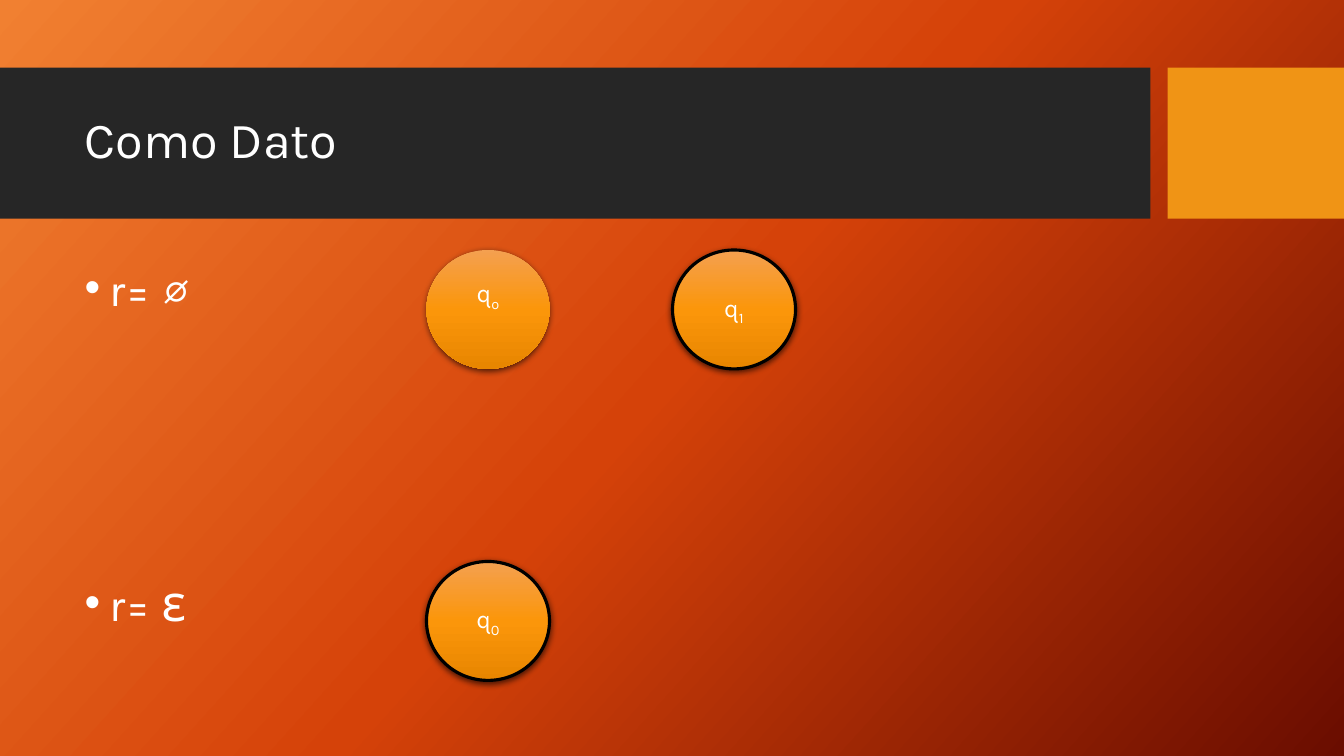
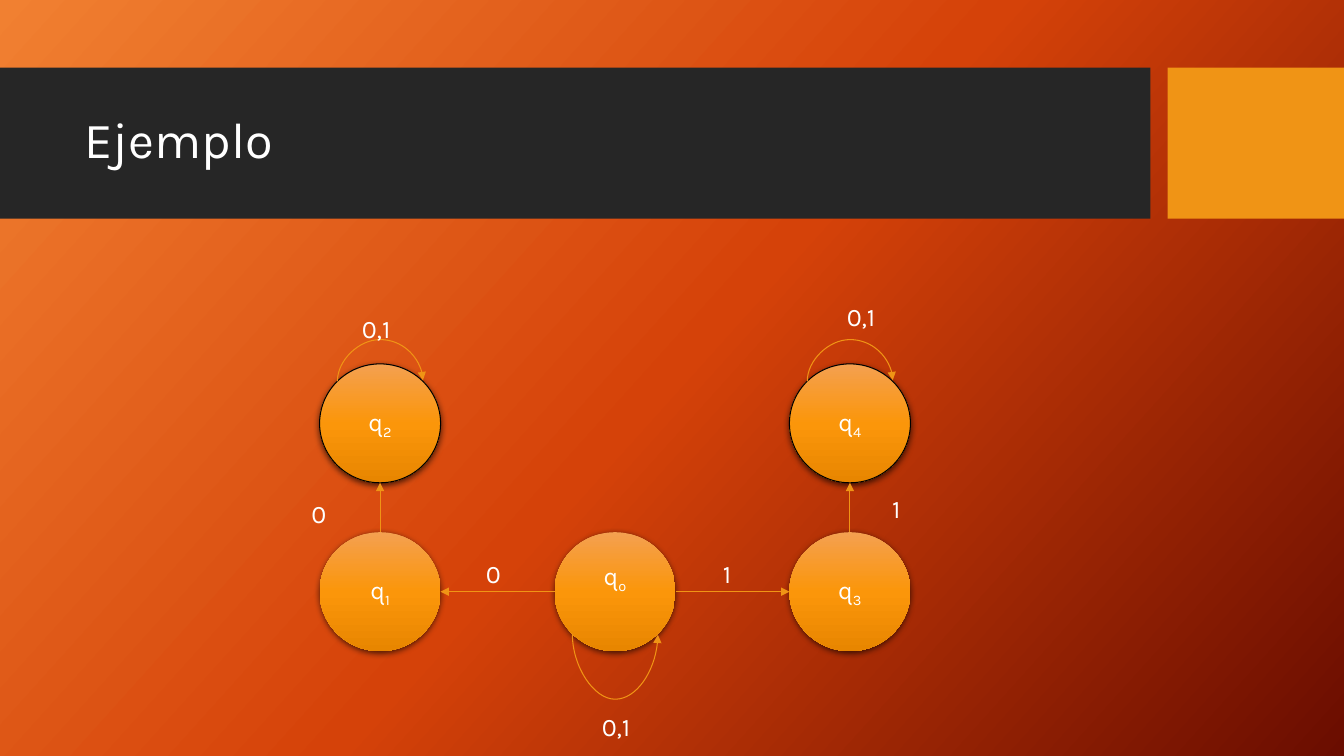
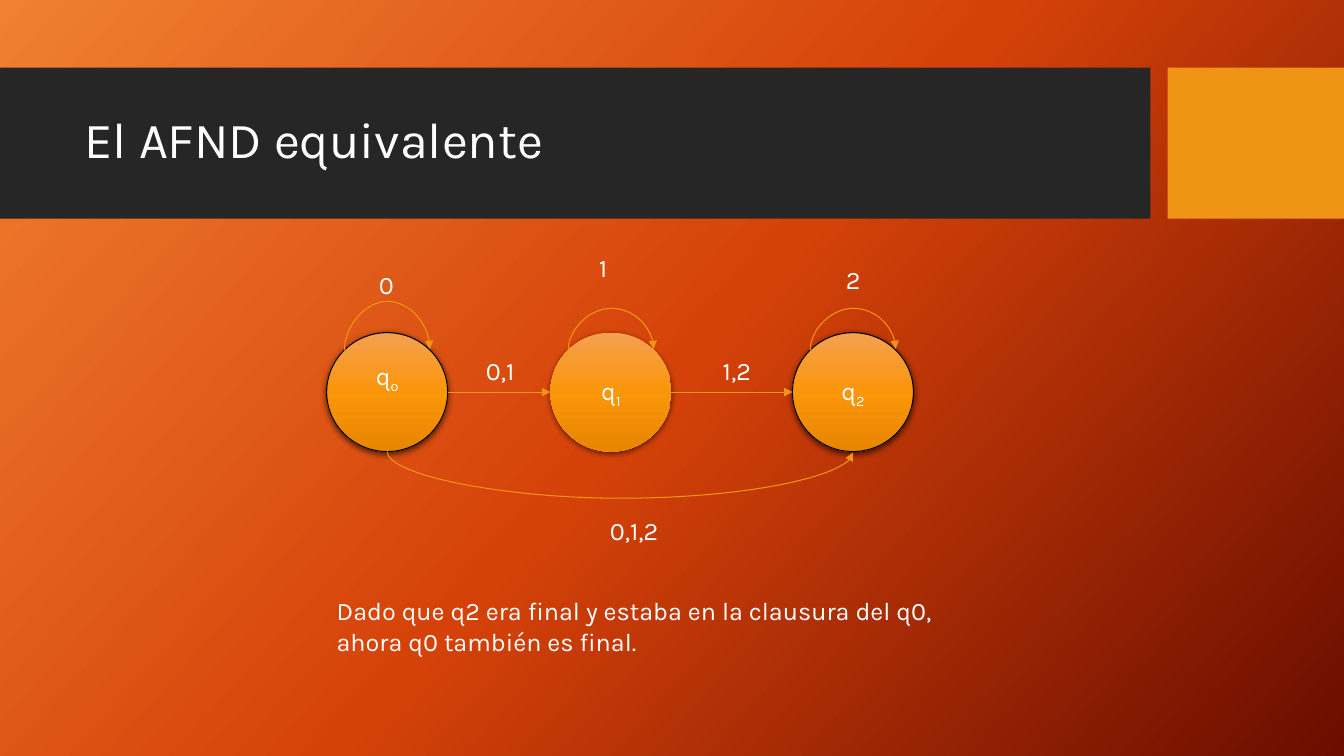
from math import cos, pi

from lxml.etree import SubElement
from pptx import Presentation
from pptx.dml.color import RGBColor
from pptx.enum.shapes import MSO_CONNECTOR as LINK, MSO_SHAPE as SHAPE
from pptx.enum.text import MSO_ANCHOR as ANCHOR, MSO_AUTO_SIZE as FIT, PP_ALIGN as ALIGN
from pptx.oxml.ns import qn
from pptx.util import Inches, Pt

FONT = "Karla"
COLORS = {"text": "FFFFFF", "band": "262626", "accent": "F09415", "outline": "000000"}
BACKGROUND = [(0, "F18031"), (50, "D54209"), (100, "6A0D00")]
NODE_FILL = [(0, "F4A050"), (50, "FB960A"), (100, "E88600")]
BANDS = [(0, 11.41, "band"), (11.58, 1.75, "accent")]
NODE_HEIGHT = 1.18
RAISED_INSET = 0.34
FLAT = 0.01

COLUMNS = [3.17 + 2.33 * i for i in range(3)]
UPPER, LOWER, CHAIN = 3.61, 5.28, 3.3

SLIDES = [
    {
        "title": "Como Dato",
        "bullets": [[("r=", 32), (" ∅", 36)], [("r=", 32), (" ε", 36)]],
        "node_width": 1.22,
        "nodes": {
            "empty_start": ("o", 4.23, 2.48, 0),
            "empty_final": ("1", 6.67, 2.48, 2.25),
            "epsilon": ("0", 4.23, 5.57, 2.25),
        },
    },
    {
        "title": "Ejemplo",
        "node_width": 1.2,
        "nodes": {
            "q0": ("o", COLUMNS[1], LOWER, 0),
            "q1": ("1", COLUMNS[0], LOWER, 0),
            "q2": ("2", COLUMNS[0], UPPER, 0.75),
            "q3": ("3", COLUMNS[2], LOWER, 0),
            "q4": ("4", COLUMNS[2], UPPER, 0.75),
        },
        "arrows": [("q0", "q1"), ("q1", "q2"), ("q0", "q3"), ("q3", "q4")],
        "loops": [("q0", "below", 0.66), ("q2", "above", 0.42), ("q4", "above", 0.42)],
        "labels": [
            ("0,1", 5.87, 7.01, 0.58), ("1", 8.75, 4.84, 0.58),
            ("0", 2.99, 4.89, 0.58), ("0", 4.72, 5.49, 0.58),
            ("1", 7.07, 5.49, 0.58), ("0,1", 8.3, 2.94, 0.58),
            ("0,1", 3.49, 3.06, 0.58),
        ],
    },
    {
        "title": "El AFND equivalente",
        "node_width": 1.2,
        "nodes": {
            "q0": ("o", 3.24, CHAIN, 0.75),
            "q1": ("1", 5.46, CHAIN, 0),
            "q2": ("2", 7.86, CHAIN, 0.75),
        },
        "arrows": [("q0", "q1"), ("q1", "q2")],
        "loops": [("q0", "above", 0.49), ("q1", "above", 0.42), ("q2", "above", 0.42)],
        "arcs": [("q0", "q2", 0.47)],
        "labels": [
            ("0", 3.66, 2.62, 0.35), ("0,1", 4.72, 3.48, 0.58),
            ("1,2", 7.07, 3.48, 0.63), ("1", 5.84, 2.45, 0.35),
            ("2", 8.29, 2.57, 0.35), ("0,1,2", 5.95, 5.06, 1.29),
            ("Dado que q2 era final y estaba en la clausura del q0, "
             "ahora q0 también es final.", 3.24, 5.86, 6.25),
        ],
    },
]


def rgb(name):
    return RGBColor.from_string(COLORS[name])


def box(*lengths):
    return [Inches(length) for length in lengths]


def place(shape, *lengths):
    shape.left, shape.top, shape.width, shape.height = box(*lengths)


def add(parent, tag, **attributes):
    return SubElement(parent, qn(tag), {key: str(value) for key, value in attributes.items()})


def paint_gradient(owner, fill, stops, angle):
    fill.gradient()
    gradient = owner.element.xpath(".//a:gradFill")[0]
    for child in list(gradient):
        gradient.remove(child)
    stop_list = add(gradient, "a:gsLst")
    for position, color in stops:
        add(add(stop_list, "a:gs", pos=position * 1000), "a:srgbClr", val=color)
    add(gradient, "a:lin", ang=angle * 60000, scaled=0)


def write(frame, paragraphs, align=ALIGN.LEFT, spacing=None, gap=0, bullet=False):
    frame.word_wrap = True
    frame.auto_size = FIT.NONE
    for index, runs in enumerate(paragraphs):
        paragraph = frame.add_paragraph() if index else frame.paragraphs[0]
        if bullet:
            properties = paragraph._p.get_or_add_pPr()
            properties.set("marL", str(Inches(0.25)))
            properties.set("indent", str(Inches(-0.25)))
            add(properties, "a:buChar", char="•")
        paragraph.alignment = align
        paragraph.line_spacing = spacing
        paragraph.space_before = Pt(gap if index else 0)
        for text, size, *baseline in runs:
            run = paragraph.add_run()
            run.text = text
            run.font.name = FONT
            run.font.size = Pt(size)
            run.font.color.rgb = rgb("text")
            if baseline:
                run.font._element.set("baseline", str(baseline[0] * 1000))


def add_node(slide, subscript, left, top, width, outline):
    node = slide.shapes.add_shape(SHAPE.OVAL, *box(left, top, width, NODE_HEIGHT))
    paint_gradient(node, node.fill, NODE_FILL, 90)
    if outline:
        node.line.color.rgb = rgb("outline")
        node.line.width = Pt(outline)
    else:
        node.line.fill.background()
    node.shadow.inherit = False
    effects = node.element.spPr.find(qn("a:effectLst"))
    shadow = add(effects, "a:outerShdw", blurRad=Pt(4.5), dist=Pt(1.5),
                 dir=90 * 60000, algn="ctr", rotWithShape=0)
    add(add(shadow, "a:srgbClr", val=COLORS["outline"]), "a:alpha", val=63000)
    node.text_frame.vertical_anchor = ANCHOR.MIDDLE
    if subscript == "o":
        node.text_frame.margin_bottom = Inches(RAISED_INSET)
    write(node.text_frame, [[("q", 18), (subscript, 18, -25)]], align=ALIGN.CENTER)


def add_arrow(slide, kind, *ends):
    arrow = slide.shapes.add_connector(kind, *box(*ends))
    arrow.line.color.rgb = rgb("accent")
    arrow.line.width = Pt(0.75)
    add(arrow.line._get_or_add_ln(), "a:tailEnd", type="triangle")
    add(arrow.element.spPr, "a:effectLst")
    return arrow


def add_curve(slide, left, y, span, side, depth):
    below = side == "below"
    x = left + span / 2 - FLAT / 2
    top = y + (FLAT if below else -FLAT) / 2 - span / 2
    curve = add_arrow(slide, LINK.CURVE, x, top, x + FLAT, top + span)
    frame = curve.element.spPr.find(qn("a:xfrm"))
    frame.set("rot", str((270 if below else 90) * 60000))
    frame.set("flipH", "1")
    if not below:
        frame.set("flipV", "1")
    adjustments = curve.element.spPr.find(qn("a:prstGeom")).get_or_add_avLst()
    add(adjustments, "a:gd", name="adj1", fmla=f"val {round(depth / FLAT * 100000)}")


def add_straight(slide, start, end, width):
    (_, x1, y1, _), (_, x2, y2, _) = start, end
    across = (x2 > x1) - (x2 < x1)
    down = (y2 > y1) - (y2 < y1)
    half_width, half_height = width / 2, NODE_HEIGHT / 2
    add_arrow(slide, LINK.STRAIGHT,
              x1 + half_width * (1 + across), y1 + half_height * (1 + down),
              x2 + half_width * (1 - across), y2 + half_height * (1 - down))


def draw_automaton(slide, content):
    nodes, width = content["nodes"], content["node_width"]
    corner = (1 - cos(pi / 4)) / 2
    for subscript, left, top, outline in nodes.values():
        add_node(slide, subscript, left, top, width, outline)
    for start, end in content.get("arrows", []):
        add_straight(slide, nodes[start], nodes[end], width)
    for name, side, depth in content.get("loops", []):
        _, left, top, _ = nodes[name]
        share = 1 - corner if side == "below" else corner
        add_curve(slide, left + width * corner, top + NODE_HEIGHT * share,
                  width * (1 - 2 * corner), side, depth)
    for start, end, depth in content.get("arcs", []):
        _, left, top, _ = nodes[start]
        add_curve(slide, left + width / 2, top + NODE_HEIGHT,
                  nodes[end][1] - left, "below", depth)
    for text, left, top, label_width in content.get("labels", []):
        label = slide.shapes.add_textbox(*box(left, top, label_width, 0.4))
        write(label.text_frame, [[(text, 18)]])


def style_master(master, slide):
    paint_gradient(master, master.background.fill, BACKGROUND, 42)
    for index, (left, width, color) in enumerate(BANDS):
        band = slide.shapes.add_shape(SHAPE.RECTANGLE, *box(left, 0.67, width, 1.5))
        band.fill.solid()
        band.fill.fore_color.rgb = rgb(color)
        band.line.fill.background()
        band.shadow.inherit = False
        band.element.nvSpPr.cNvPr.set("id", str(100 + index))
        master.element.cSld.spTree.insert(2 + index, band.element)
    title = master.placeholders[0]
    place(title, 0.74, 0.82, 10.51, 1.18)
    title.text_frame.vertical_anchor = ANCHOR.MIDDLE


def main():
    deck = Presentation()
    deck.slide_width, deck.slide_height = box(13.33, 7.5)
    for content in SLIDES:
        bullets = content.get("bullets")
        slide = deck.slides.add_slide(deck.slide_layouts[1 if bullets else 5])
        if len(deck.slides) == 1:
            style_master(deck.slide_master, slide)
        write(slide.shapes.title.text_frame, [[(content["title"], 36)]], spacing=0.9)
        if bullets:
            body = slide.placeholders[1]
            place(body, 0.74, 2.56, 4.59, 4.12)
            write(body.text_frame, bullets, spacing=0.9, gap=186, bullet=True)
        draw_automaton(slide, content)
    deck.save("out.pptx")


if __name__ == "__main__":
    main()
